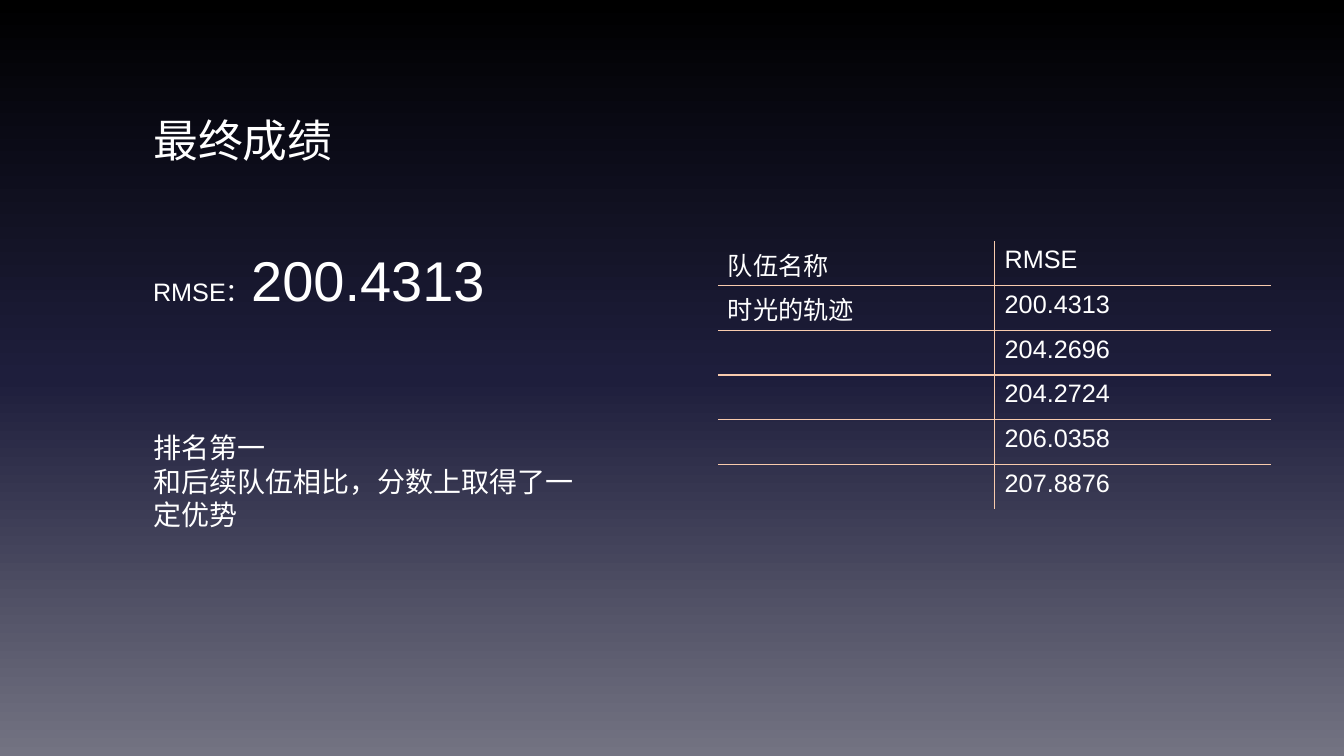
"""Builds the final score slide: the team's RMSE beside a ranking table."""
from copy import deepcopy
from dataclasses import dataclass

from lxml.etree import SubElement
from pptx import Presentation
from pptx.dml.color import RGBColor as Color
from pptx.enum.text import MSO_ANCHOR as Anchor, MSO_AUTO_SIZE as AutoSize, PP_ALIGN as Align
from pptx.oxml.ns import qn
from pptx.util import Inches, Pt


@dataclass(frozen=True)
class Theme:
    font: str = "Arial"
    text: str = "FFFFFF"
    rule: str = "F8CBAD"
    gradient: tuple = ((0, "000000"), (0.5, "1E1E3C"), (1, "737382"))
    title: int = 32
    score: int = 40
    body: int = 20
    label: int = 18


def set_font(font, size):
    font.name = theme.font
    font.size = Pt(size)
    font.color.rgb = Color.from_string(theme.text)


def add_border(cell, side):
    line = SubElement(cell_properties(cell), qn(f"a:ln{side}"), w=str(Pt(1)))
    fill = SubElement(line, qn("a:solidFill"))
    SubElement(fill, qn("a:srgbClr"), val=theme.rule)


cell_properties = lambda cell: cell._tc.get_or_add_tcPr()
theme = Theme()
left, content_top = Inches(1.42), Inches(2.39)

presentation = Presentation()
presentation.slide_width = Inches(13.33)
presentation.slide_height = Inches(7.5)
slide = presentation.slides.add_slide(presentation.slide_layouts[5])

background = slide.background.fill
background.gradient()
background.gradient_angle = 270
first_stop = background.gradient_stops[0]._gs
first_stop.getparent().append(deepcopy(first_stop))
for stop, (position, color) in zip(background.gradient_stops, theme.gradient):
    stop.position = position
    stop.color.rgb = Color.from_string(color)

title = slide.shapes.title
title.left, title.top, title.width, title.height = left, Inches(1.07), Inches(2), Inches(0.64)
title.text_frame.text = "最终成绩"
title.text_frame.word_wrap = False
title.text_frame.auto_size = AutoSize.SHAPE_TO_FIT_TEXT
title.text_frame.vertical_anchor = Anchor.TOP
title.text_frame.paragraphs[0].alignment = Align.LEFT
set_font(title.text_frame.paragraphs[0].font, theme.title)

summary = slide.shapes.add_textbox(left, content_top, Inches(4.44), Inches(3)).text_frame
summary.word_wrap = True
score = summary.paragraphs[0]
for text, size in (("RMSE：", theme.label), ("200.4313", theme.score)):
    run = score.add_run()
    run.text = text
    set_font(run.font, size)
for text, gap in (("排名第一", 84), ("和后续队伍相比，分数上取得了一定优势", 0)):
    paragraph = summary.add_paragraph()
    paragraph.text = text
    paragraph.space_before = Pt(gap)
    set_font(paragraph.font, theme.body)

ranking = (
    ("队伍名称", "RMSE"),
    ("时光的轨迹", "200.4313"),
    ("", "204.2696"),
    ("", "204.2724"),
    ("", "206.0358"),
    ("", "207.8876"),
)
rows, columns = len(ranking), len(ranking[0])
table = slide.shapes.add_table(
    rows, columns, Inches(7.12), content_top, Inches(5.49), Inches(2.66)).table
table.first_row = table.horz_banding = False
table._tbl.tblPr.find(qn("a:tableStyleId")).text = "{2D5ABB26-0587-4C30-8999-92F81FD0307C}"
for row, values in enumerate(ranking):
    for column, value in enumerate(values):
        cell = table.cell(row, column)
        cell.text = value
        set_font(cell.text_frame.paragraphs[0].font, theme.label)
        inner_sides = {"L": column > 0, "R": column < columns - 1,
                       "T": row > 0, "B": row < rows - 1}
        for side, inner in inner_sides.items():
            if inner:
                add_border(cell, side)
        cell.fill.background()

presentation.save("out.pptx")
